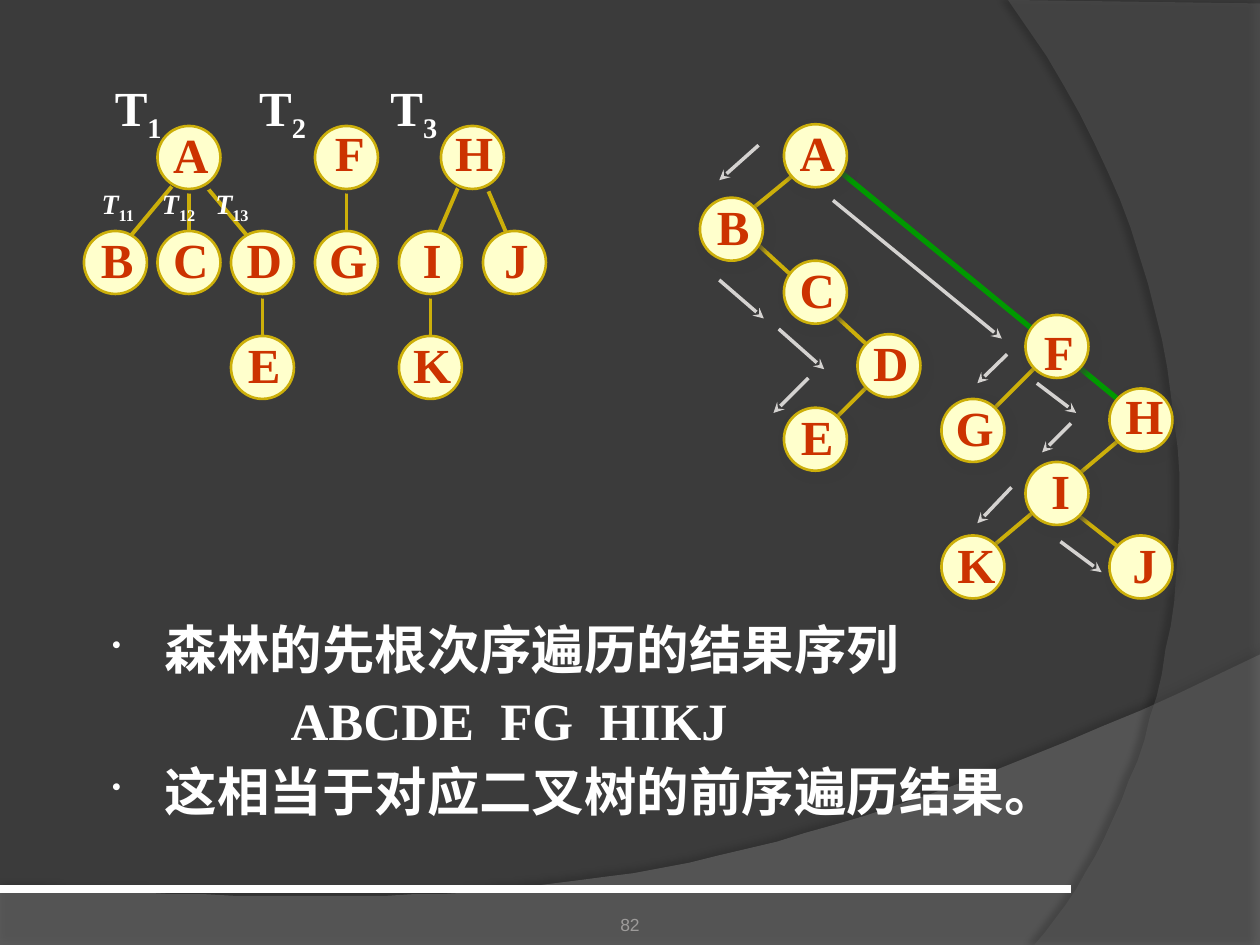
from dataclasses import dataclass

from lxml.etree import SubElement
from pptx import Presentation
from pptx.dml.color import RGBColor
from pptx.enum.shapes import MSO_CONNECTOR as Connector, MSO_SHAPE as Preset
from pptx.enum.text import MSO_ANCHOR as Anchor, MSO_AUTO_SIZE as AutoSize, PP_ALIGN as Align
from pptx.oxml.ns import qn
from pptx.util import Pt


@dataclass(frozen=True)
class Theme:
    background: str = "3B3B3B"
    wave: str = "7F7F7F"
    side: str = "5E5E5E"
    white: str = "FFFFFF"
    number: str = "9D9B9A"
    node: str = "FFFFCC"
    edge: str = "CCAF0A"
    letter: str = "CC3300"
    sibling: str = "009900"
    arrow: str = "D4D2D0"
    serif: str = "Times New Roman"
    sans: str = "Arial"
    body_size: float = 30
    node_size: float = 28
    subtree_size: float = 16
    number_size: float = 10


DIAMETER = 36
LETTER_HEIGHT = 41
LETTER_WIDTHS = dict(A=34.6, B=33, C=34.6, D=34.6, E=33, F=31.7,
                     G=36, H=36, I=25.2, J=28.8, K=36)


def curve(start, first, second, end, steps=40):
    """Points on a cubic Bezier curve."""
    points = []
    for step in range(steps + 1):
        t = step / steps
        weights = ((1 - t) ** 3, 3 * t * (1 - t) ** 2, 3 * t * t * (1 - t), t ** 3)
        points.append(tuple(sum(w * p[axis] for w, p in zip(weights, (start, first, second, end)))
                            for axis in (0, 1)))
    return points


class SlidePainter:
    def __init__(self, page, theme):
        self.page = page
        self.theme = theme
        page.background.fill.solid()
        page.background.fill.fore_color.rgb = RGBColor.from_string(theme.background)

    def shadow(self, shape, color, alpha, blur, distance, angle):
        shape.shadow.inherit = False
        effects = shape.element.spPr.find(qn("a:effectLst"))
        outer = SubElement(effects, qn("a:outerShdw"), blurRad=str(Pt(blur)), dist=str(Pt(distance)),
                           dir=str(angle * 60000), algn="ctr", rotWithShape="0")
        tint = SubElement(outer, qn("a:srgbClr"), val=color)
        SubElement(tint, qn("a:alpha"), val=str(alpha * 1000))

    def panel(self, points, color, alpha, shadow):
        builder = self.page.shapes.build_freeform(*points[0], scale=Pt(1))
        builder.add_line_segments(points[1:], close=True)
        shape = builder.convert_to_shape()
        shape.fill.solid()
        shape.fill.fore_color.rgb = RGBColor.from_string(color)
        tint = shape.element.spPr.find(".//" + qn("a:srgbClr"))
        SubElement(tint, qn("a:alpha"), val=str(alpha * 1000))
        shape.line.fill.background()
        self.shadow(shape, *shadow)

    def line(self, ends, color, width, arrow=False):
        link = self.page.shapes.add_connector(Connector.STRAIGHT, *(Pt(value) for value in ends))
        link.line.color.rgb = RGBColor.from_string(color)
        link.line.width = Pt(width)
        properties = link.element.spPr
        if arrow:
            SubElement(properties.find(qn("a:ln")), qn("a:tailEnd"), type="stealth")
        SubElement(properties, qn("a:effectLst"))

    def box(self, left, top, width, height, anchor=Anchor.TOP, wrap=True):
        box = self.page.shapes.add_textbox(Pt(left), Pt(top), Pt(width), Pt(height))
        box.text_frame.word_wrap = wrap
        box.text_frame.vertical_anchor = anchor
        return box.text_frame

    def style(self, span, size, color, face=None, bold=True, italic=False):
        span.font.name = face or self.theme.serif
        span.font.size = Pt(size)
        span.font.color.rgb = RGBColor.from_string(color)
        span.font.bold = bold
        span.font.italic = italic

    def circle(self, left, top, shadow):
        disc = self.page.shapes.add_shape(Preset.OVAL, Pt(left), Pt(top), Pt(DIAMETER), Pt(DIAMETER))
        disc.fill.solid()
        disc.fill.fore_color.rgb = RGBColor.from_string(self.theme.node)
        disc.line.color.rgb = RGBColor.from_string(self.theme.edge)
        disc.line.width = Pt(1.5)
        self.shadow(disc, *shadow)

    def letter(self, text, left, top, dx=1, dy=-2):
        width = LETTER_WIDTHS[text]
        frame = self.box(left + (DIAMETER - width) / 2 + dx, top + (DIAMETER - LETTER_HEIGHT) / 2 + dy,
                         width, LETTER_HEIGHT, Anchor.MIDDLE, wrap=False)
        frame.auto_size = AutoSize.SHAPE_TO_FIT_TEXT
        frame.text = text
        frame.paragraphs[0].alignment = Align.CENTER
        self.style(frame.paragraphs[0].runs[0], self.theme.node_size, self.theme.letter)

    def tree(self, edges, nodes, shadow):
        for ends in edges:
            self.line(ends, self.theme.edge, 2.25)
        for _, left, top, *_ in nodes:
            self.circle(left, top, shadow)
        for node in nodes:
            self.letter(*node)

    def indexed_labels(self, place, size, indices, stops, italic=False, anchor=Anchor.TOP):
        """T labels with subscripts, set apart by tab stops."""
        para = self.box(*place, anchor=anchor).paragraphs[0]
        tabs = SubElement(para._p.get_or_add_pPr(), qn("a:tabLst"))
        for stop in stops:
            SubElement(tabs, qn("a:tab"), pos=str(Pt(stop)), algn="l")
        for position, index in enumerate(indices):
            for text, lowered in (("\tT" if position else "T", False), (index, True)):
                span = para.add_run()
                span.text = text
                self.style(span, size, self.theme.white, italic=italic and not lowered)
                if lowered:
                    span.font._element.set("baseline", "-25000")

    def body(self, place, lines):
        frame = self.box(*place)
        frame.text = "\n".join(text for text, _ in lines)
        for position, (para, (_, bulleted)) in enumerate(zip(frame.paragraphs, lines)):
            properties = para._p.get_or_add_pPr()
            properties.set("marL", str(Pt(33 if bulleted else 105)))
            properties.set("indent", str(Pt(-30 if bulleted else 0)))
            if bulleted:
                SubElement(properties, qn("a:buSzPct"), val="50000")
                SubElement(properties, qn("a:buChar"), char="•")
            if position:
                para.space_before = Pt(4.5)
            self.style(para.runs[0], self.theme.body_size, self.theme.white)

    def page_number(self, place, text):
        frame = self.box(*place, anchor=Anchor.BOTTOM)
        frame.margin_left = frame.margin_right = frame.margin_bottom = 0
        frame.text = text
        frame.paragraphs[0].alignment = Align.CENTER
        self.style(frame.paragraphs[0].runs[0], self.theme.number_size, self.theme.number,
                   self.theme.sans, bold=False)


def main():
    deck = Presentation()
    deck.slide_width, deck.slide_height = Pt(720), Pt(540)
    theme = Theme()
    painter = SlidePainter(deck.slides.add_slide(deck.slide_layouts[6]), theme)

    # Backdrop
    wave = curve((720, 374.4), (402.5, 524.9), (281.5, 517.7), (0, 507.6))
    painter.panel([(0, 540), (720, 540)] + wave, theme.wave, 45, ("000000", 35, 4, 3.5, 270))
    side = curve((591, 540), (673, 445.7), (733, 216), (576, 0))
    painter.panel([(720, 1.5), (720, 540)] + side, theme.side, 40, ("000000", 45, 4, 4, 180))
    painter.line((0, 508, 612, 508), theme.white, 4.5)
    painter.page_number((246, 505.5, 228, 29), "82")

    # Result text
    painter.body((54, 349, 648, 145), [("森林的先根次序遍历的结果序列", True),
                                       ("ABCDE  FG  HIKJ", False),
                                       ("这相当于对应二叉树的前序遍历结果。", True)])

    # Binary tree
    painter.line((477.5, 96, 646, 234), theme.sibling, 3)
    painter.tree(
        [(502, 214.5, 471.5, 245), (423.5, 131, 502, 203), (459.5, 95, 423.5, 124.5),
         (615.5, 294, 646, 318), (646, 246, 567.5, 312), (597.5, 204, 561.5, 240)],
        [("A", 448, 71), ("B", 400, 113), ("C", 448, 149), ("D", 490, 191), ("E", 448, 233),
         ("F", 586, 180, 1, 2.5), ("G", 538, 228), ("H", 634, 222, 2, -3), ("I", 586, 264, 2),
         ("K", 538, 306, 2), ("J", 634, 306, 2)],
        (theme.background, 75, 5, 3, 45))

    # Traversal order
    for ends in [(433.5, 83, 411, 103), (411, 160, 436.5, 182), (445, 188, 471, 211),
                 (462, 216, 442, 236), (476, 114.5, 572.5, 193.5), (575.5, 202.5, 558.5, 219),
                 (592.5, 219, 615, 236), (612, 242, 595.5, 258.5), (578, 278.5, 558.5, 299),
                 (606, 309.5, 629.5, 327)]:
        painter.line(ends, theme.arrow, 2, arrow=True)

    # Forest
    painter.tree(
        [(276, 102, 294, 144), (264, 102, 246, 144), (114, 102, 144, 138), (102, 102, 72, 138),
         (246, 162, 246, 198), (150, 162, 150, 198), (198, 102, 198, 138), (108, 102, 108, 138)],
        [("B", 48, 132), ("C", 90, 132), ("D", 132, 132), ("G", 180, 132), ("I", 228, 132),
         ("J", 276, 132), ("E", 132, 192), ("K", 228, 192), ("A", 90, 72),
         ("F", 180, 72, 2, -3), ("H", 252, 72, 1, -3)],
        (theme.background, 100, 0, 2.8, 45))
    painter.indexed_labels((58.5, 43, 204, 41), theme.node_size, "123", (82.5, 157.5),
                           anchor=Anchor.MIDDLE)
    painter.indexed_labels((51, 103, 111, 26.5), theme.subtree_size, ("11", "12", "13"), (34.5, 65),
                           italic=True)

    deck.save("out.pptx")


if __name__ == "__main__":
    main()
